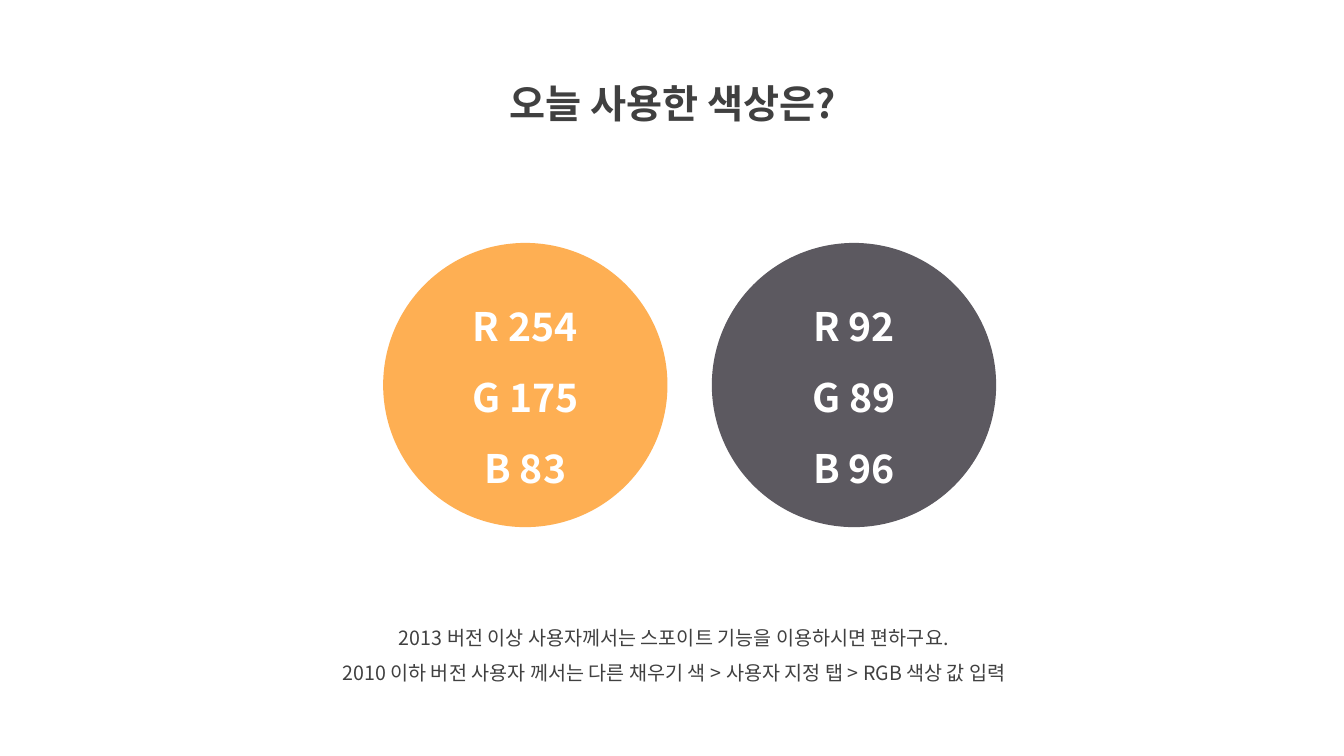
from pptx import Presentation
from pptx.dml.color import RGBColor
from pptx.enum.shapes import MSO_SHAPE
from pptx.enum.text import MSO_ANCHOR, MSO_AUTO_SIZE, PP_ALIGN
from pptx.oxml.ns import qn
from pptx.util import Inches, Pt
from lxml import etree

OVAL = MSO_SHAPE.OVAL
TOP, MIDDLE = MSO_ANCHOR.TOP, MSO_ANCHOR.MIDDLE
GROW = MSO_AUTO_SIZE.SHAPE_TO_FIT_TEXT
CENTER = PP_ALIGN.CENTER

FONT = "Noto Sans CJK KR"
COLORS = {"text": "404040", "white": "FFFFFF", "orange": "FEAF53", "gray": "5C5960"}
PARAGRAPH = {"alignment": CENTER, "line_spacing": 1.5,
             "space_before": Pt(0), "space_after": Pt(0)}
HEADING = {"name": FONT, "size": Pt(28), "bold": True}
BODY = {"name": FONT, "size": Pt(14), "bold": False}
TEXT_FRAME = {"word_wrap": True, "auto_size": GROW, "vertical_anchor": TOP}


def apply(target, values):
    for name, value in values.items():
        setattr(target, name, value)


class Deck:
    def __init__(self):
        self.prs = Presentation()
        apply(self.prs, {"slide_width": Inches(13.33), "slide_height": Inches(7.5)})
        self.s = self.prs.slides.add_slide(self.prs.slide_layouts[5])

    def add_lines(self, tf, lines, font, color):
        for i, line in enumerate(lines):
            p = tf.add_paragraph() if i else tf.paragraphs[0]
            apply(p, PARAGRAPH)
            r = p.add_run()
            r.text = line
            apply(r.font, font)
            r.font.color.rgb = RGBColor.from_string(COLORS[color])
            # Hangul takes its typeface from the East Asian font
            etree.SubElement(r.font._element, qn("a:ea"), typeface=FONT)

    def title(self, text, left, top, width, height):
        sp = self.s.shapes.title
        apply(sp, {"left": Inches(left), "top": Inches(top),
                   "width": Inches(width), "height": Inches(height)})
        apply(sp.text_frame, TEXT_FRAME)
        self.add_lines(sp.text_frame, [text], HEADING, "text")

    def note(self, lines, left, top, width, height):
        sp = self.s.shapes.add_textbox(*map(Inches, (left, top, width, height)))
        apply(sp.text_frame, TEXT_FRAME)
        self.add_lines(sp.text_frame, lines, BODY, "text")

    def swatch(self, color, left, top, size):
        """Draw a circle labelled with the RGB values of its own fill."""
        sp = self.s.shapes.add_shape(OVAL, *map(Inches, (left, top, size, size)))
        sp.shadow.inherit = False
        rgb = RGBColor.from_string(COLORS[color])
        sp.fill.solid()
        sp.fill.fore_color.rgb = rgb
        sp.line.fill.background()
        sp.text_frame.vertical_anchor = MIDDLE
        labels = [f"{channel} {value}" for channel, value in zip("RGB", rgb)]
        self.add_lines(sp.text_frame, labels, HEADING, "white")


def main():
    deck = Deck()
    deck.title("오늘 사용한 색상은?", 4.36, 0.5, 4.63, 0.72)
    deck.note(["2013 버전 이상 사용자께서는 스포이트 기능을 이용하시면 편하구요.",
               "2010 이하 버전 사용자 께서는 다른 채우기 색 > 사용자 지정 탭 > RGB 색상 값 입력"],
              2.69, 6.04, 7.99, 0.81)
    for i, color in enumerate(("orange", "gray")):
        deck.swatch(color, 3.8 + 3.26 * i, 2.41, 2.82)
    deck.prs.save("out.pptx")


if __name__ == "__main__":
    main()
